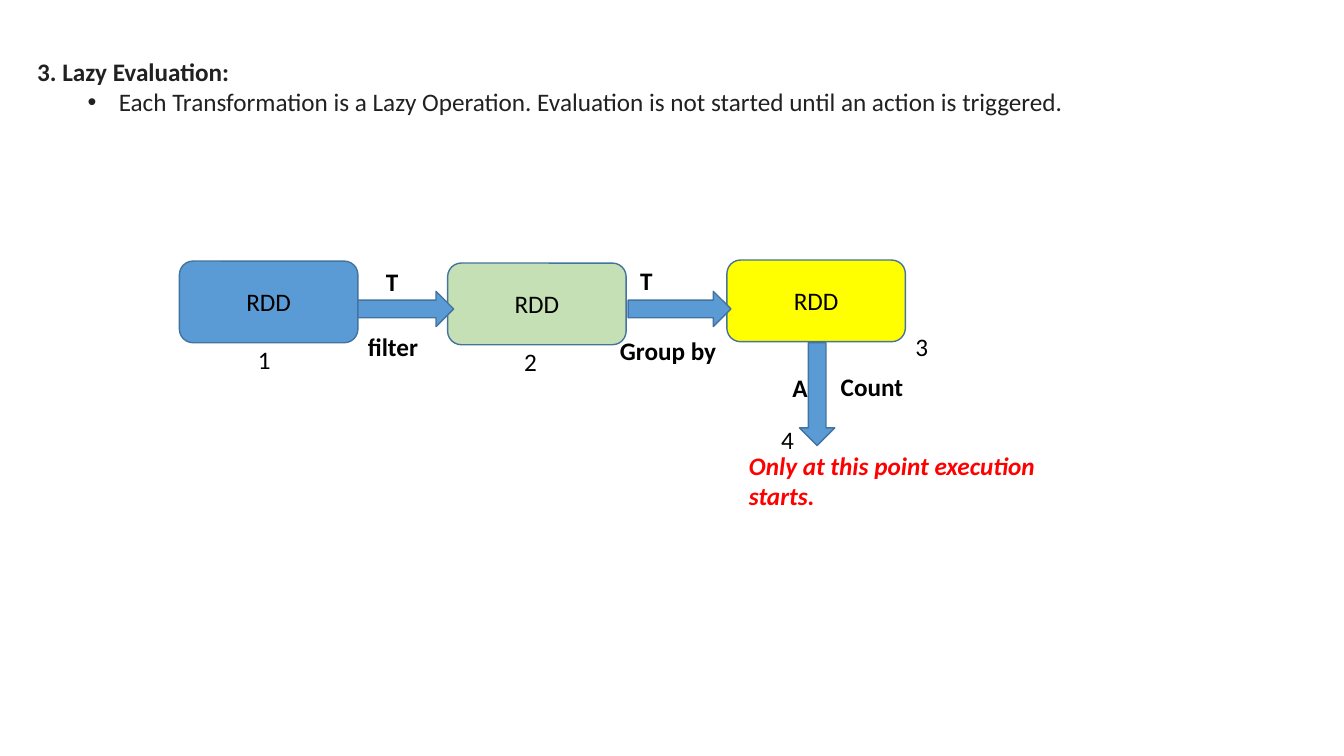
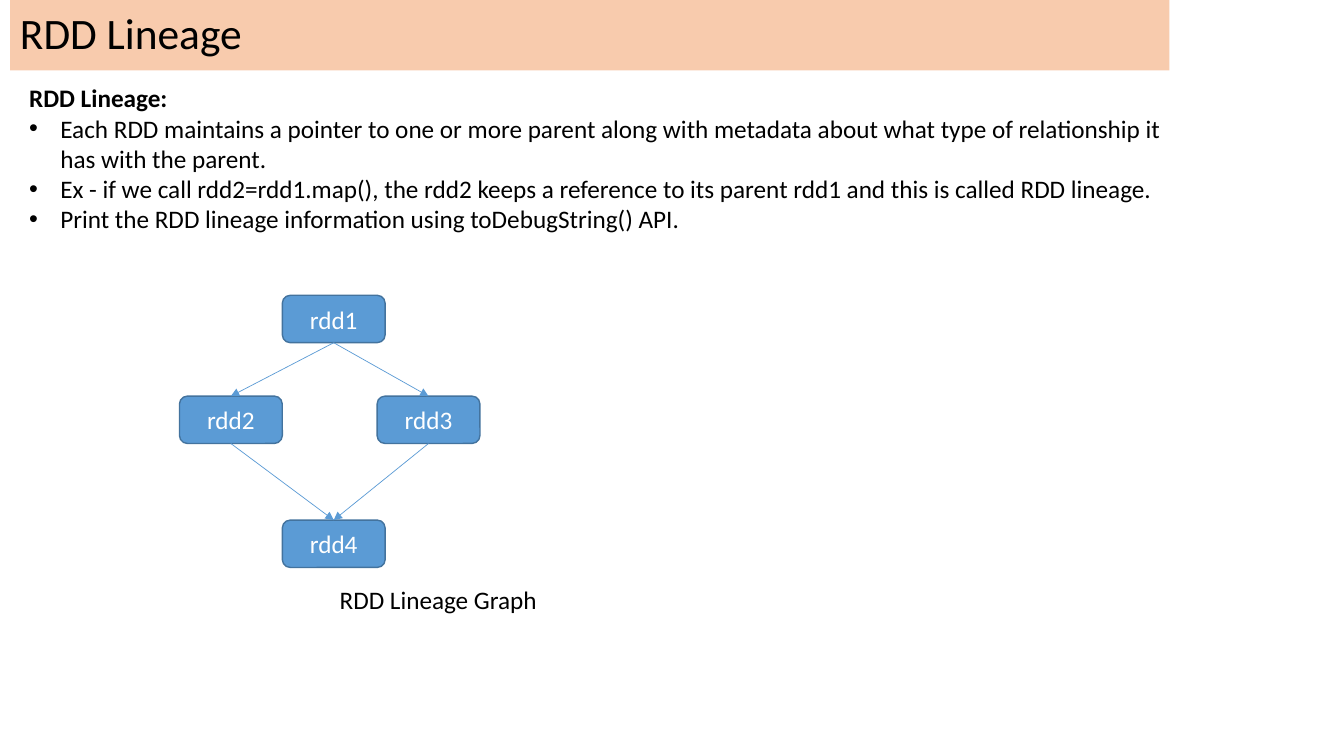
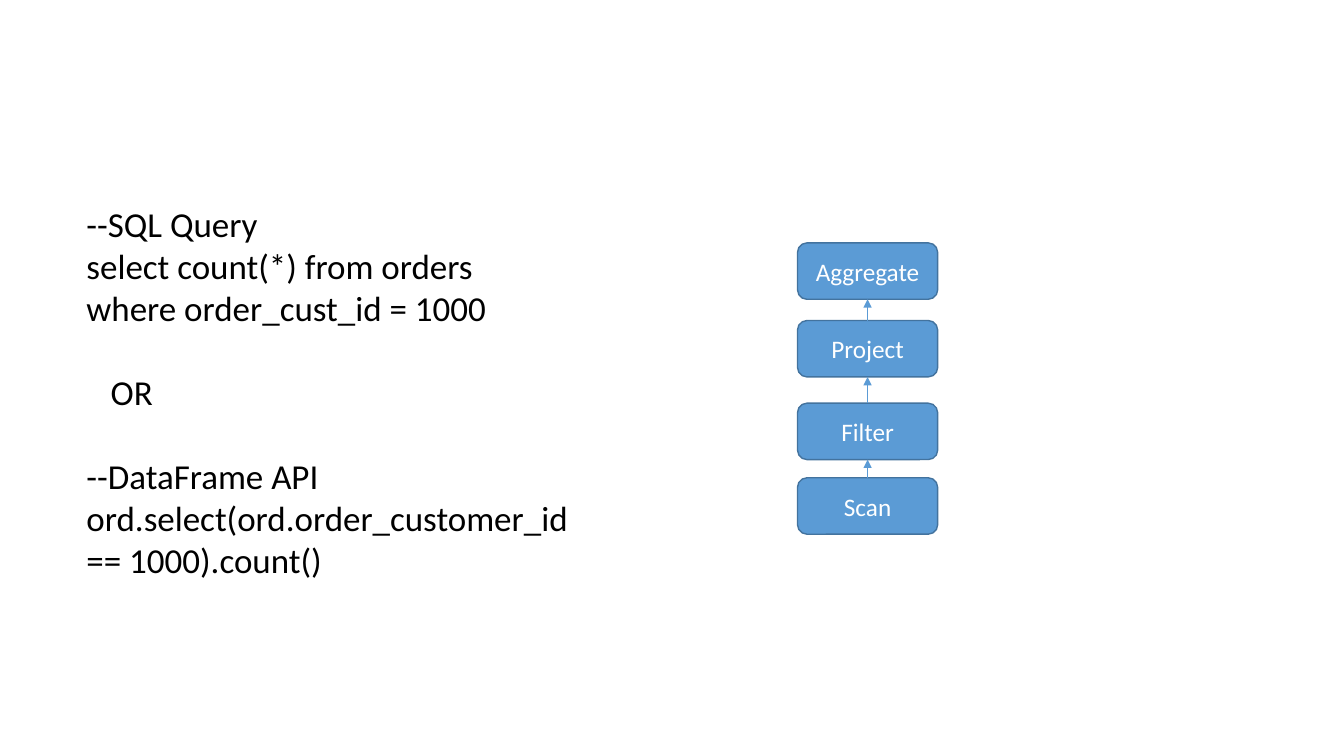
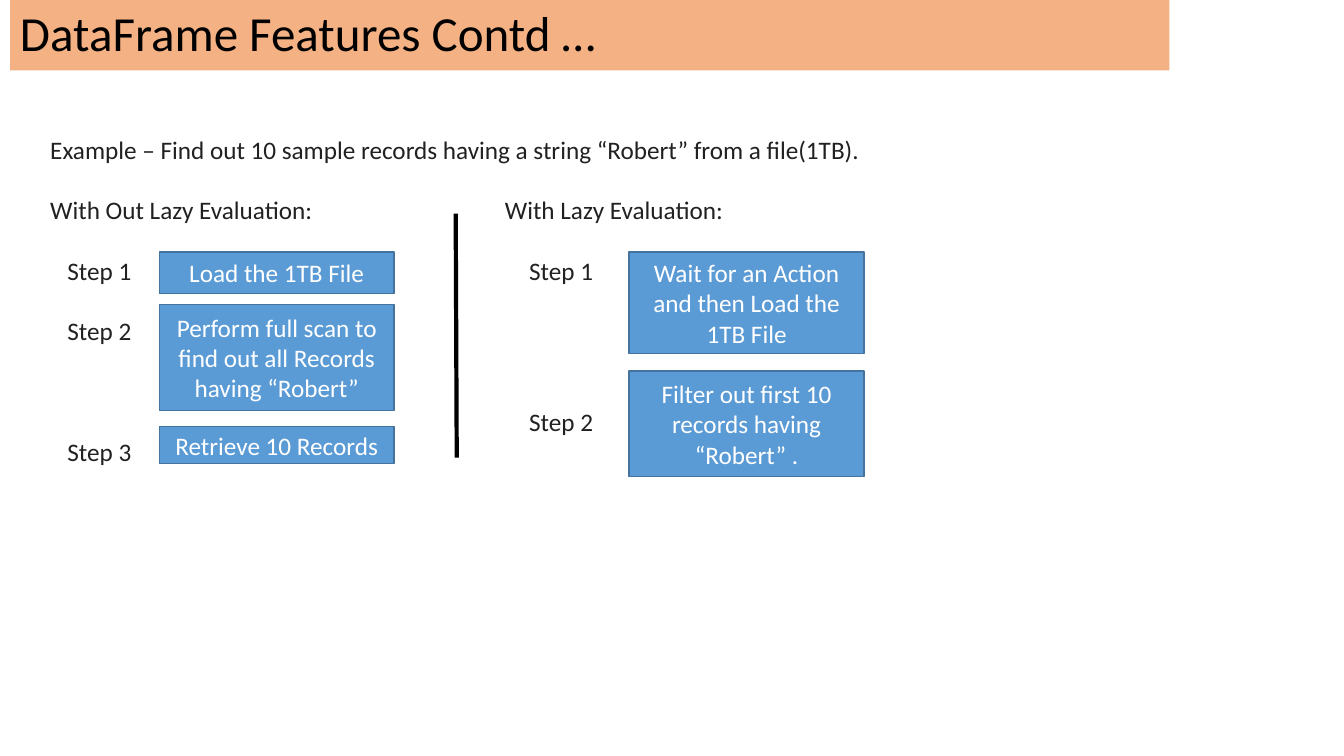
from lxml import etree
from pptx import Presentation
from pptx.dml.color import RGBColor
from pptx.enum.shapes import MSO_CONNECTOR as Connector, MSO_SHAPE as Shape
from pptx.enum.text import MSO_ANCHOR as Anchor, PP_ALIGN as Align
from pptx.oxml.ns import qn
from pptx.util import Inches, Pt

COLORS = {
    "blue": "5B9BD5", "edge": "43739E", "green": "C5E0B4", "yellow": "FFFF00",
    "peach": "F8CBAD", "orange": "F4B183", "red": "FF0000",
    "black": "000000", "ink": "212121", "white": "FFFFFF",
}
FONT = "Calibri"
TOP, BOTTOM = 0, 2  # connection sites


def rgb(name):
    return RGBColor.from_string(COLORS[name])


# ---- shared parts ----
def style(para, size=18, color="black", bold=False, italic=False):
    font = para.font
    font.name, font.size = FONT, Pt(size)
    font.bold, font.italic = bold, italic
    font.color.rgb = rgb(color)


def add_bullet(para, left):
    """Hang a bullet 0.31 inch before the text."""
    props = para._p.get_or_add_pPr()
    props.set("marL", str(Inches(left + 0.31)))
    props.set("indent", str(Inches(-0.31)))
    etree.SubElement(props, qn("a:buFont")).set("typeface", "Arial")
    etree.SubElement(props, qn("a:buChar")).set("char", "•")


def add_text(page, left, top, width, height, lines, **look):
    """Place a text box and return its paragraphs."""
    box = page.shapes.add_textbox(Inches(left), Inches(top), Inches(width), Inches(height))
    frame = box.text_frame
    frame.word_wrap = True
    frame.text = "\n".join(lines)
    for para in frame.paragraphs:
        style(para, **look)
    return frame.paragraphs


def add_label(page, left, top, text, width=1.2, **look):
    add_text(page, left, top, width, 0.4, [text], **look)


def add_section(page, left, top, width, height, heading, bullets, indent=0, color="black"):
    """A bold heading followed by bulleted lines."""
    frame = page.shapes.add_textbox(
        Inches(left), Inches(top), Inches(width), Inches(height)).text_frame
    frame.word_wrap = True
    frame.text = "\n".join([heading, *bullets])
    first, *rest = frame.paragraphs
    style(first, color=color, bold=True)
    for para in rest:
        add_bullet(para, indent)
        style(para, color=color)


def add_block(page, kind, left, top, width, height, text="", fill="blue", color="white"):
    block = page.shapes.add_shape(
        kind, Inches(left), Inches(top), Inches(width), Inches(height))
    block.shadow.inherit = False
    block.fill.solid()
    block.fill.fore_color.rgb = rgb(fill)
    block.line.color.rgb = rgb("edge")
    block.line.width = Pt(1)
    if text:
        frame = block.text_frame
        frame.word_wrap = True
        frame.vertical_anchor = Anchor.MIDDLE
        frame.text = text
        para = frame.paragraphs[0]
        para.alignment = Align.CENTER
        style(para, color=color)
    return block


def add_title(page, text, fill, size):
    band = add_block(page, Shape.RECTANGLE, 0.1, 0, 11.5, 0.7, text, fill)
    band.line.fill.background()
    para = band.text_frame.paragraphs[0]
    para.alignment = Align.LEFT
    para.line_spacing = 0.9
    style(para, size)


def add_line(page, start=(0, 0), end=(0, 0), color="blue", width=0.5):
    line = page.shapes.add_connector(Connector.STRAIGHT, *map(Inches, start + end))
    line.line.color.rgb = rgb(color)
    line.line.width = Pt(width)
    etree.SubElement(line._element.spPr, qn("a:effectLst"))
    return line


def add_arrow(page, source, source_site, target, target_site):
    arrow = add_line(page)
    arrow.begin_connect(source, source_site)
    arrow.end_connect(target, target_site)
    outline = arrow.line._get_or_add_ln()
    etree.SubElement(outline, qn("a:tailEnd")).set("type", "triangle")


# ---- lazy evaluation ----
def draw_pipeline(page, left, top):
    """Three datasets, two transformations and the closing action."""
    for x, y, fill in [(0, 0.01, "blue"), (2.66, 0.03, "green"), (5.43, 0, "yellow")]:
        add_block(page, Shape.ROUNDED_RECTANGLE, left + x, top + y, 1.77, 0.81,
                  "RDD", fill, "black")
    for x, width in [(1.77, 0.95), (4.45, 1.02)]:
        add_block(page, Shape.RIGHT_ARROW, left + x, top + 0.31, width, 0.35)
    add_block(page, Shape.DOWN_ARROW, left + 6.15, top + 0.82, 0.35, 1.02)

    operations = [
        (1.95, 0.01, "T"), (4.47, 0, "T"), (1.77, 0.66, "filter"),
        (4.27, 0.7, "Group by"), (5.98, 1.06, "A"), (6.46, 1.05, "Count"),
    ]
    for x, y, text in operations:
        add_label(page, left + x, top + y, text, bold=True)

    numbers = [(0.68, 0.79), (3.32, 0.81), (7.2, 0.66), (5.87, 1.58)]
    for number, (x, y) in enumerate(numbers, 1):
        add_label(page, left + x, top + y, str(number), width=0.4)
    add_text(page, left + 5.55, top + 1.84, 3.48, 0.71,
             ["Only at this point execution starts."], color="red", bold=True, italic=True)


def lazy_evaluation_slide(page):
    add_section(
        page, 0.27, 0.51, 11.74, 0.71, "3. Lazy Evaluation:",
        ["Each Transformation is a Lazy Operation. Evaluation is not started "
         "until an action is triggered."],
        indent=0.5, color="ink")
    draw_pipeline(page, 1.78, 2.58)


# ---- lineage ----
def draw_lineage(page, left, top):
    places = {"rdd1": (1.02, 0), "rdd2": (0, 1), "rdd3": (1.96, 1), "rdd4": (1.02, 2.23)}
    nodes = {
        name: add_block(page, Shape.ROUNDED_RECTANGLE, left + x, top + y, 1.02, 0.47, name)
        for name, (x, y) in places.items()
    }
    for parent, child in [("rdd1", "rdd2"), ("rdd1", "rdd3"),
                          ("rdd2", "rdd4"), ("rdd3", "rdd4")]:
        add_arrow(page, nodes[parent], BOTTOM, nodes[child], TOP)
    add_label(page, left + 1.49, top + 2.82, "RDD Lineage Graph", width=2.34)


def lineage_slide(page):
    add_title(page, "RDD Lineage", "peach", 31)
    add_section(page, 0.19, 0.77, 11.65, 1.62, "RDD Lineage:", [
        "Each RDD maintains a pointer to one or more parent along with metadata "
        "about what type of relationship it has with the parent.",
        "Ex - if we call rdd2=rdd1.map(), the rdd2 keeps a reference to its parent "
        "rdd1 and this is called RDD lineage.",
        "Print the RDD lineage information using toDebugString() API.",
    ])
    draw_lineage(page, 1.78, 2.93)


# ---- query plan ----
def draw_plan(page, left, top):
    """Stages from the bottom up, each feeding the one above."""
    below = None
    for y, name in [(2.33, "Scan"), (1.59, "Filter"), (0.77, "Project"), (0, "Aggregate")]:
        stage = add_block(page, Shape.ROUNDED_RECTANGLE, left, top + y, 1.39, 0.56, name)
        if below is not None:
            add_arrow(page, below, TOP, stage, BOTTOM)
        below = stage


def query_plan_slide(page):
    paras = add_text(page, 0.76, 1.96, 5.36, 3.89, [
        "--SQL Query",
        "select count(*) from orders",
        "where order_cust_id = 1000",
        "OR",
        "--DataFrame API",
        "ord.select(ord.order_customer_id == 1000).count()",
    ], size=25)
    for para in paras[3:5]:
        para.space_before = Pt(30)
    paras[3]._p.get_or_add_pPr().set("marL", str(Inches(0.24)))
    draw_plan(page, 7.91, 2.41)


# ---- lazy and eager steps ----
def draw_steps(page, left, top, heading, label_x, block_x, steps):
    """A heading over numbered steps: label top, block top, block height, text."""
    add_label(page, left, top, heading, width=3.5, color="ink")
    for number, (label_y, block_y, height, text) in enumerate(steps, 1):
        add_label(page, left + label_x, top + label_y, f"Step {number}", color="ink")
        add_block(page, Shape.RECTANGLE, left + block_x, top + block_y, 2.33, height, text)


def features_slide(page):
    add_title(page, "DataFrame Features Contd …", "orange", 35)
    add_label(page, 0.4, 1.28,
              "Example – Find out 10 sample records having a string “Robert” from a file(1TB).",
              width=10.37, color="ink")
    draw_steps(page, 0.4, 1.88, "With Out Lazy Evaluation:", 0.17, 1.18, [
        (0.6, 0.62, 0.41, "Load the 1TB File"),
        (1.2, 1.14, 1.05, "Perform full scan to find out all Records having “Robert”"),
        (2.4, 2.35, 0.37, "Retrieve 10 Records"),
    ])
    draw_steps(page, 4.91, 1.88, "With Lazy Evaluation:", 0.24, 1.33, [
        (0.6, 0.62, 1.01, "Wait for an Action and then Load the 1TB File"),
        (2.1, 1.8, 1.05, "Filter out first 10 records having “Robert” ."),
    ])
    add_line(page, (4.52, 2.12), (4.53, 4.54), "black", 3)


def main():
    deck = Presentation()
    deck.slide_width, deck.slide_height = Inches(13.33), Inches(7.5)
    for fill_page in (lazy_evaluation_slide, lineage_slide, query_plan_slide, features_slide):
        fill_page(deck.slides.add_slide(deck.slide_layouts[6]))
    deck.save("out.pptx")


if __name__ == "__main__":
    main()
